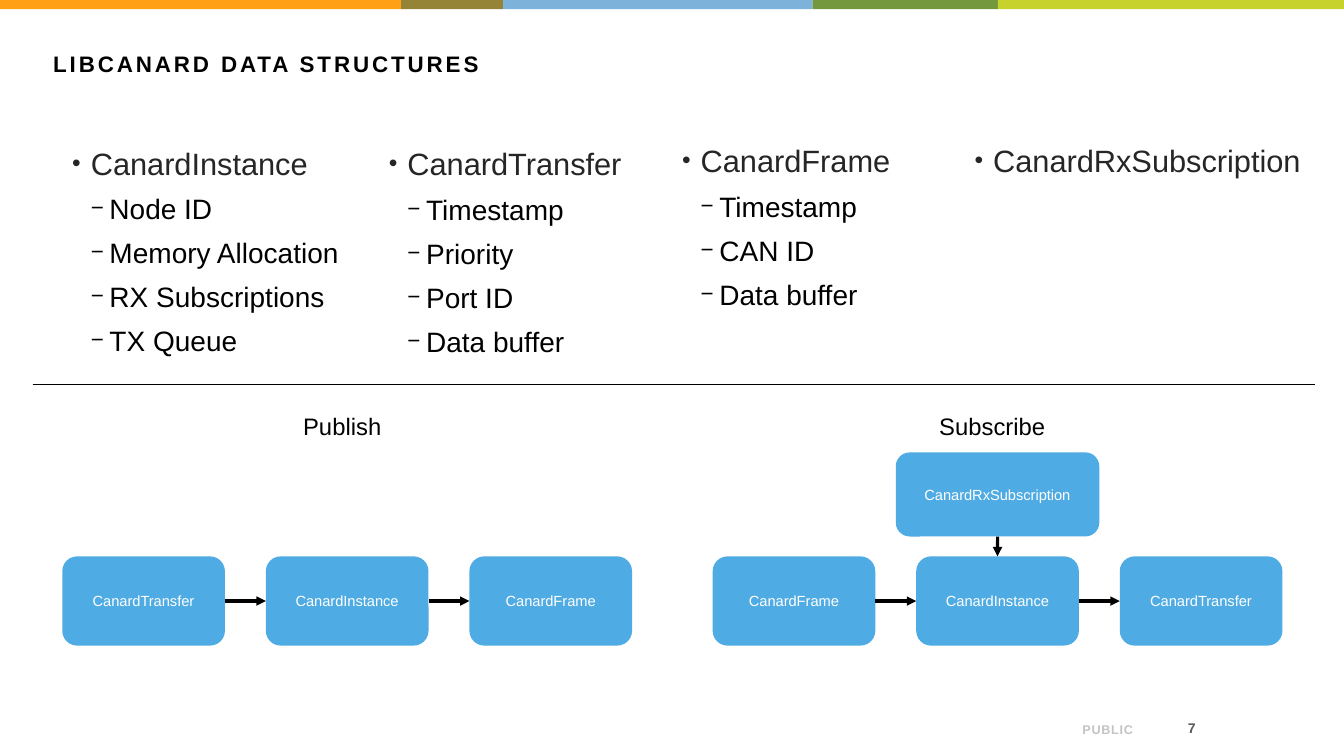
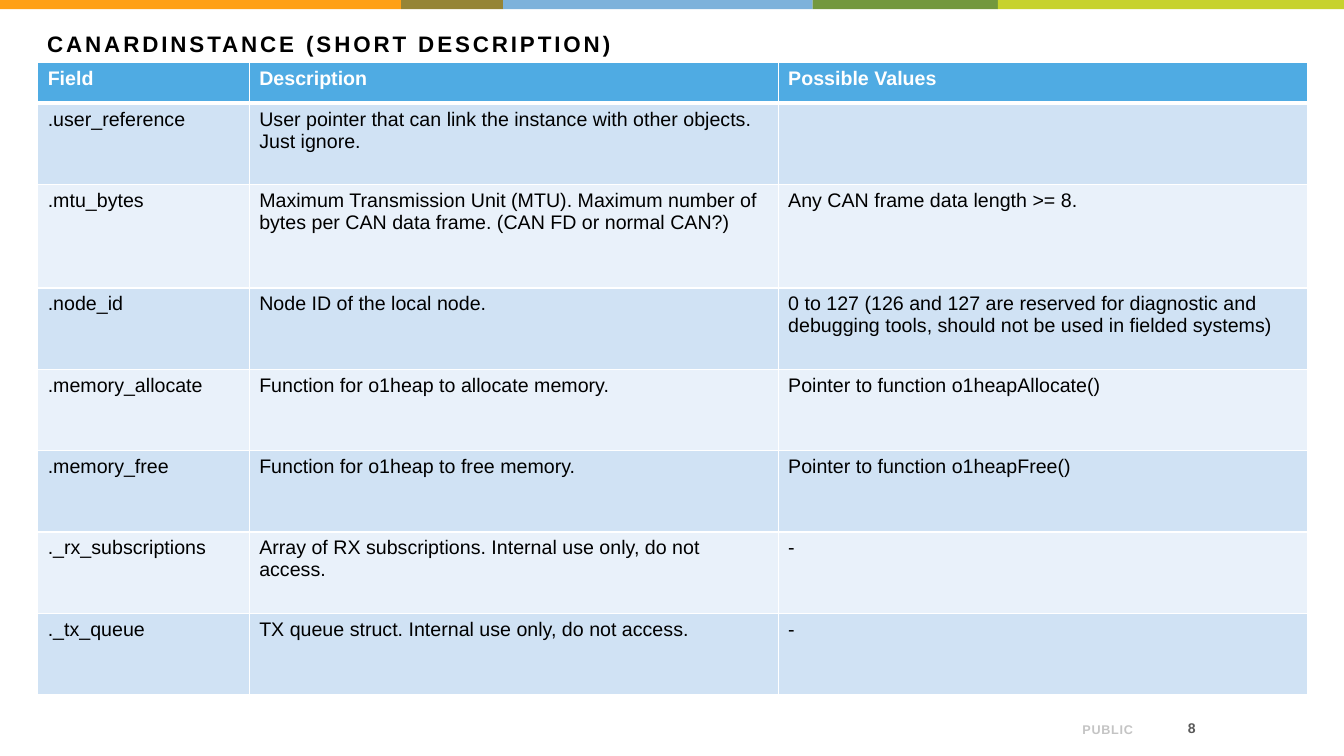
from dataclasses import dataclass

from lxml.etree import SubElement
from pptx import Presentation
from pptx.dml.color import RGBColor
from pptx.enum.shapes import MSO_CONNECTOR, MSO_SHAPE
from pptx.enum.text import MSO_ANCHOR, PP_ALIGN
from pptx.oxml.ns import qn
from pptx.shapes.autoshape import Shape
from pptx.shapes.connector import Connector
from pptx.slide import Slide
from pptx.table import _Cell
from pptx.text.text import _Paragraph
from pptx.util import Cm, Pt

FONT = "Arial"
HUES = {
    "amber": "FFA015", "olive": "958436", "sky": "7DB2DB",
    "green": "73983E", "lime": "C7D22D", "blue": "4FABE3",
    "pale": "D0E2F4", "faint": "E9F1FA", "white": "FFFFFF",
    "black": "000000", "ink": "262626", "gray": "595959", "silver": "C4C4C4",
}
BANDS = [("amber", 10.11), ("olive", 2.57), ("sky", 7.8),
         ("green", 4.67), ("lime", 8.72)]


@dataclass
class Box:
    left: float
    top: float
    width: float
    height: float

    def lengths(self) -> tuple[Cm, Cm, Cm, Cm]:
        return Cm(self.left), Cm(self.top), Cm(self.width), Cm(self.height)


@dataclass
class Group:
    box: Box
    head: str
    items: list[str]


@dataclass
class Flow:
    label: str
    spot: Box
    left: float
    names: list[str]


GROUPS = [
    Group(Box(1.57, 3.51, 7.98, 6.02), "CanardInstance",
          ["Node ID", "Memory Allocation", "RX Subscriptions", "TX Queue"]),
    Group(Box(9.55, 3.53, 7.98, 6), "CanardTransfer",
          ["Timestamp", "Priority", "Port ID", "Data buffer"]),
    Group(Box(16.94, 3.45, 7.98, 6), "CanardFrame",
          ["Timestamp", "CAN ID", "Data buffer"]),
    Group(Box(24.31, 3.45, 8.84, 6), "CanardRxSubscription", []),
]
FLOWS = [
    Flow("Publish", Box(7.39, 10.24, 2.72, 1.14), 1.57,
         ["CanardTransfer", "CanardInstance", "CanardFrame"]),
    Flow("Subscribe", Box(23.42, 10.24, 3.4, 1.14), 17.96,
         ["CanardFrame", "CanardInstance", "CanardTransfer"]),
]
STEP = 5.13
NODE = Box(0, 14.02, 4.1, 2.25)

FIELDS = [
    ("Field", "Description", "Possible Values"),
    (".user_reference",
     "User pointer that can link the instance with other objects. Just ignore.", ""),
    (".mtu_bytes",
     "Maximum Transmission Unit (MTU). Maximum number of bytes per CAN data frame. "
     "(CAN FD or normal CAN?)",
     "Any CAN frame data length >= 8."),
    (".node_id", "Node ID of the local node.",
     "0 to 127 (126 and 127 are reserved for diagnostic and debugging tools, "
     "should not be used in fielded systems)"),
    (".memory_allocate", "Function for o1heap to allocate memory.",
     "Pointer to function o1heapAllocate()"),
    (".memory_free", "Function for o1heap to free memory.",
     "Pointer to function o1heapFree()"),
    ("._rx_subscriptions",
     "Array of RX subscriptions. Internal use only, do not access.", "-"),
    ("._tx_queue", "TX queue struct. Internal use only, do not access.", "-"),
]
WIDTHS = [5.33, 13.33, 13.33]
HEIGHTS = [1.03, 2.05, 2.61] + [2.05] * 5


def tint(name: str) -> RGBColor:
    return RGBColor.from_string(HUES[name])


def put(par: _Paragraph, text: str, *, size: float, hue: str = "black",
        bold: bool = False, align: PP_ALIGN = PP_ALIGN.LEFT,
        track: float = 0) -> None:
    par.alignment = align
    run = par.add_run()
    run.text = text
    font = run.font
    font.name, font.size, font.bold = FONT, Pt(size), bold
    font.color.rgb = tint(hue)
    if track:
        run._r.get_or_add_rPr().set("spc", str(round(track * 100)))


def add_text(slide: Slide, box: Box, text: str,
             anchor: MSO_ANCHOR = MSO_ANCHOR.TOP, **style) -> None:
    frame = slide.shapes.add_textbox(*box.lengths()).text_frame
    frame.word_wrap = True
    frame.vertical_anchor = anchor
    put(frame.paragraphs[0], text, **style)


def add_block(slide: Slide, kind: MSO_SHAPE, box: Box, hue: str) -> Shape:
    shape = slide.shapes.add_shape(kind, *box.lengths())
    shape.shadow.inherit = False
    shape.fill.solid()
    shape.fill.fore_color.rgb = tint(hue)
    shape.line.fill.background()
    return shape


def add_node(slide: Slide, box: Box, text: str) -> Shape:
    node = add_block(slide, MSO_SHAPE.ROUNDED_RECTANGLE, box, "blue")
    frame = node.text_frame
    frame.word_wrap = True
    frame.vertical_anchor = MSO_ANCHOR.MIDDLE
    frame.margin_left = frame.margin_right = Cm(0.5)
    frame.margin_top = frame.margin_bottom = Cm(0.5)
    put(frame.paragraphs[0], text, size=10.5, hue="white", align=PP_ALIGN.CENTER)
    return node


def add_line(slide: Slide, start: tuple[float, float], end: tuple[float, float],
             weight: float) -> Connector:
    line = slide.shapes.add_connector(
        MSO_CONNECTOR.STRAIGHT, *map(Cm, start), *map(Cm, end))
    line.line.color.rgb = tint("black")
    line.line.width = Pt(weight)
    SubElement(line._element.spPr, qn("a:effectLst"))
    return line


def add_arrow(slide: Slide, first: Shape, out: int, last: Shape, into: int) -> None:
    line = add_line(slide, (0, 0), (0, 0), 2.25)
    line.begin_connect(first, out)
    line.end_connect(last, into)
    SubElement(line.line._get_or_add_ln(), qn("a:tailEnd"), type="triangle")


def mark(par: _Paragraph, char: str, level: int) -> None:
    par.level = level
    props = par._p.get_or_add_pPr()
    props.set("marL", str(Cm(0.47 * (level + 1))))
    props.set("indent", str(-Cm(0.47)))
    SubElement(props, qn("a:buSzPct"), val="80000")
    SubElement(props, qn("a:buFont"), typeface=FONT)
    SubElement(props, qn("a:buChar"), char=char)


def add_group(slide: Slide, group: Group) -> None:
    frame = slide.shapes.add_textbox(*group.box.lengths()).text_frame
    frame.word_wrap = True
    head = frame.paragraphs[0]
    mark(head, "•", 0)
    head.space_after = Pt(0.8)
    put(head, group.head, size=22, hue="ink")
    for item in group.items:
        par = frame.add_paragraph()
        mark(par, "−", 1)
        par.space_before, par.space_after = Pt(6.6), Pt(0.8)
        put(par, item, size=20)


def add_flow(slide: Slide, flow: Flow) -> list[Shape]:
    add_text(slide, flow.spot, flow.label, size=17)
    nodes = [
        add_node(slide, Box(flow.left + i * STEP, NODE.top, NODE.width, NODE.height), name)
        for i, name in enumerate(flow.names)
    ]
    for first, last in zip(nodes, nodes[1:]):
        add_arrow(slide, first, 3, last, 1)
    return nodes


def edge(cell: _Cell, side: str, weight: float) -> None:
    line = SubElement(cell._tc.get_or_add_tcPr(), qn(f"a:ln{side}"), w=str(Pt(weight)))
    fill = SubElement(line, qn("a:solidFill"))
    SubElement(fill, qn("a:srgbClr"), val=HUES["white"])


def add_grid(slide: Slide) -> None:
    box = Box(0.95, 1.57, sum(WIDTHS), sum(HEIGHTS))
    grid = slide.shapes.add_table(len(FIELDS), len(WIDTHS), *box.lengths()).table
    grid.horz_banding = False
    for col, width in zip(grid.columns, WIDTHS):
        col.width = Cm(width)
    for r, (texts, height) in enumerate(zip(FIELDS, HEIGHTS)):
        grid.rows[r].height = Cm(height)
        top = r == 0
        hue = "blue" if top else "pale" if r % 2 else "faint"
        for c, text in enumerate(texts):
            cell = grid.cell(r, c)
            for side in "LRTB":
                thick = (r, side) in ((0, "B"), (1, "T"))
                edge(cell, side, 3 if thick else 1)
            cell.fill.solid()
            cell.fill.fore_color.rgb = tint(hue)
            if text:
                put(cell.text_frame.paragraphs[0], text, size=14, bold=top,
                    hue="white" if top else "black")


def add_page(deck: Presentation, title: str, spot: Box, page: int) -> Slide:
    slide = deck.slides.add_slide(deck.slide_layouts[6])
    left = 0
    for hue, width in BANDS:
        add_block(slide, MSO_SHAPE.RECTANGLE, Box(left, 0, width, 0.23), hue)
        left += width
    add_text(slide, Box(21.62, 17.83, 7.18, 0.86), "PUBLIC", MSO_ANCHOR.BOTTOM,
             size=9, hue="silver", bold=True, align=PP_ALIGN.RIGHT, track=0.5)
    add_text(slide, Box(28.65, 17.96, 1.73, 0.76), str(page), MSO_ANCHOR.MIDDLE,
             size=10, hue="gray", bold=True, align=PP_ALIGN.RIGHT, track=3)
    add_text(slide, spot, title, size=16, bold=True, track=2.1)
    return slide


def main() -> None:
    deck = Presentation()
    deck.slide_width, deck.slide_height = Cm(33.87), Cm(19.05)

    slide = add_page(deck, "LIBCANARD DATA STRUCTURES", Box(1.09, 1.14, 31.8, 1.83), 7)
    for group in GROUPS:
        add_group(slide, group)
    add_line(slide, (0.82, 9.7), (33.15, 9.7), 0.75)
    rows = [add_flow(slide, flow) for flow in FLOWS]
    left = FLOWS[1].left + STEP + (NODE.width - STEP) / 2
    source = add_node(slide, Box(left, 11.4, STEP, 2.12), "CanardRxSubscription")
    add_arrow(slide, source, 2, rows[1][1], 0)

    slide = add_page(deck, "CANARDINSTANCE (SHORT DESCRIPTION)",
                     Box(0.94, 0.64, 29.21, 1.85), 8)
    add_grid(slide)

    deck.save("out.pptx")


if __name__ == "__main__":
    main()
